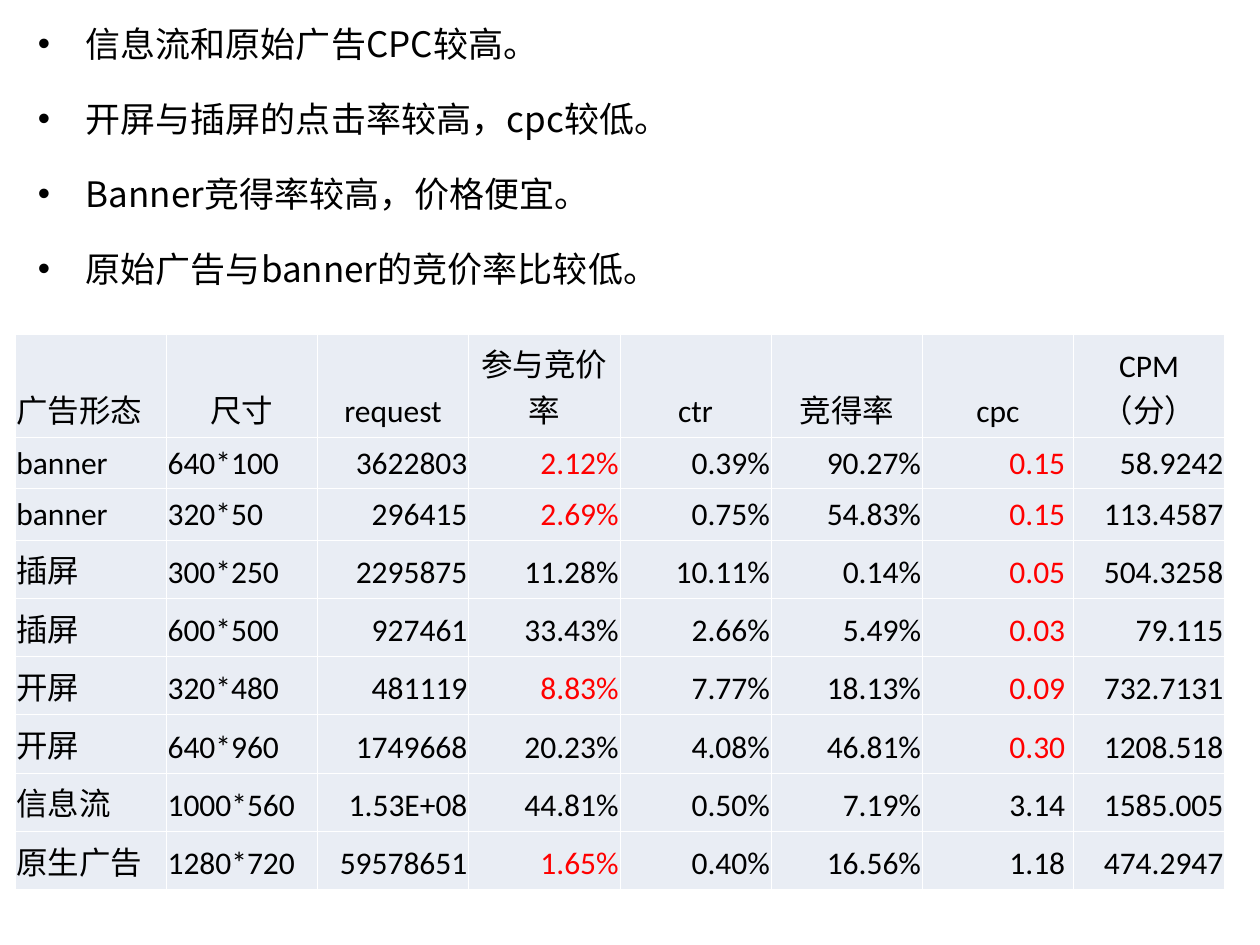
"""Build a slide with four findings above a table of ad format metrics."""
from lxml.etree import SubElement
from pptx import Presentation
from pptx.dml.color import RGBColor
from pptx.enum.text import MSO_ANCHOR, MSO_AUTO_SIZE, PP_ALIGN
from pptx.oxml.ns import qn
from pptx.util import Inches, Pt

FINDINGS = [
    "信息流和原始广告CPC较高。",
    "开屏与插屏的点击率较高，cpc较低。",
    "Banner竞得率较高，价格便宜。",
    "原始广告与banner的竞价率比较低。",
]
HEADERS = ["广告形态", "尺寸", "request", "参与竞价率", "ctr", "竞得率", "cpc", "CPM（分）"]
ROWS = [
    ["banner", "640*100", "3622803", "2.12%", "0.39%", "90.27%", "0.15 ", "58.9242"],
    ["banner", "320*50", "296415", "2.69%", "0.75%", "54.83%", "0.15 ", "113.4587"],
    ["插屏", "300*250", "2295875", "11.28%", "10.11%", "0.14%", "0.05 ", "504.3258"],
    ["插屏", "600*500", "927461", "33.43%", "2.66%", "5.49%", "0.03 ", "79.115"],
    ["开屏", "320*480", "481119", "8.83%", "7.77%", "18.13%", "0.09 ", "732.7131"],
    ["开屏", "640*960", "1749668", "20.23%", "4.08%", "46.81%", "0.30 ", "1208.518"],
    ["信息流", "1000*560", "1.53E+08", "44.81%", "0.50%", "7.19%", "3.14 ", "1585.005"],
    ["原生广告", "1280*720", "59578651", "1.65%", "0.40%", "16.56%", "1.18 ", "474.2947"],
]
BID_COL, CPC_COL = 3, 6
LOW_BID, LOW_CPC = 10, 1

BLACK = RGBColor(0x00, 0x00, 0x00)
RED = RGBColor(0xFF, 0x00, 0x00)
PALE = RGBColor(0xE9, 0xED, 0xF4)
BORDER = "FFFFFF"
CELL_FORMAT = {
    "margin_left": Inches(0.01), "margin_right": Inches(0.01),
    "margin_top": Inches(0.05), "margin_bottom": Inches(0.05),
    "vertical_anchor": MSO_ANCHOR.BOTTOM,
}
LIST_FORMAT = {
    "word_wrap": True, "auto_size": MSO_AUTO_SIZE.NONE,
    "vertical_anchor": MSO_ANCHOR.TOP,
}
CELL_FONT = {"name": "Calibri", "size": Pt(18), "bold": False}
LIST_FONT = {"name": "Noto Sans CJK SC", "size": Pt(20)}


def set_attrs(obj, values):
    for name, value in values.items():
        setattr(obj, name, value)


def set_font(font, values, color):
    set_attrs(font, values)
    font.color.rgb = color


def add_borders(cell):
    tcPr = cell._tc.get_or_add_tcPr()
    for i, side in enumerate(("lnL", "lnR", "lnT", "lnB")):
        ln = tcPr.makeelement(qn(f"a:{side}"), {"w": str(Pt(0.45))})
        fill = SubElement(ln, qn("a:solidFill"))
        SubElement(fill, qn("a:srgbClr"), val=BORDER)
        tcPr.insert(i, ln)


def alignment(row, col):
    if col == 0 or (row > 0 and col == 1):
        return PP_ALIGN.LEFT
    return PP_ALIGN.RIGHT if row else PP_ALIGN.CENTER


def is_low(row, col, text):
    if row == 0 or col not in (BID_COL, CPC_COL):
        return False
    return float(text.strip(" %")) < (LOW_BID if col == BID_COL else LOW_CPC)


def fill_list(sp):
    set_attrs(sp, {"left": Inches(0.2), "top": Inches(0.13),
                   "width": Inches(9.14), "height": Inches(2.44)})
    tf = sp.text_frame
    set_attrs(tf, LIST_FORMAT)
    for i, text in enumerate(FINDINGS):
        p = tf.paragraphs[0] if i == 0 else tf.add_paragraph()
        p.space_before = Pt(18.8 if i else 0)
        pPr = p._p.get_or_add_pPr()
        pPr.set("marL", str(Inches(0.38)))
        pPr.set("indent", str(-Inches(0.38)))
        color = SubElement(pPr, qn("a:buClr"))
        SubElement(color, qn("a:srgbClr"), val=str(BLACK))
        SubElement(pPr, qn("a:buFont"), typeface="Arial")
        SubElement(pPr, qn("a:buChar"), char="•")
        r = p.add_run()
        r.text = text
        set_font(r.font, LIST_FONT, BLACK)


def add_metrics(s):
    data = [HEADERS] + ROWS
    table = s.shapes.add_table(len(data), len(HEADERS), Inches(0.12), Inches(2.65),
                               Inches(9.6), Inches(3.99)).table
    for i, values in enumerate(data):
        table.rows[i].height = Inches(0.4 if i else 0.79)
        for j, text in enumerate(values):
            cell = table.cell(i, j)
            set_attrs(cell, CELL_FORMAT)
            cell.fill.solid()
            cell.fill.fore_color.rgb = PALE
            add_borders(cell)
            p = cell.text_frame.paragraphs[0]
            p.alignment = alignment(i, j)
            r = p.add_run()
            r.text = text
            set_font(r.font, CELL_FONT, RED if is_low(i, j, text) else BLACK)


def main():
    prs = Presentation()
    prs.slide_width, prs.slide_height = Inches(10), Inches(7.5)
    s = prs.slides.add_slide(prs.slide_layouts[1])
    title = s.shapes.title
    title.element.getparent().remove(title.element)
    add_metrics(s)
    fill_list(s.placeholders[1])
    prs.save("out.pptx")


if __name__ == "__main__":
    main()
